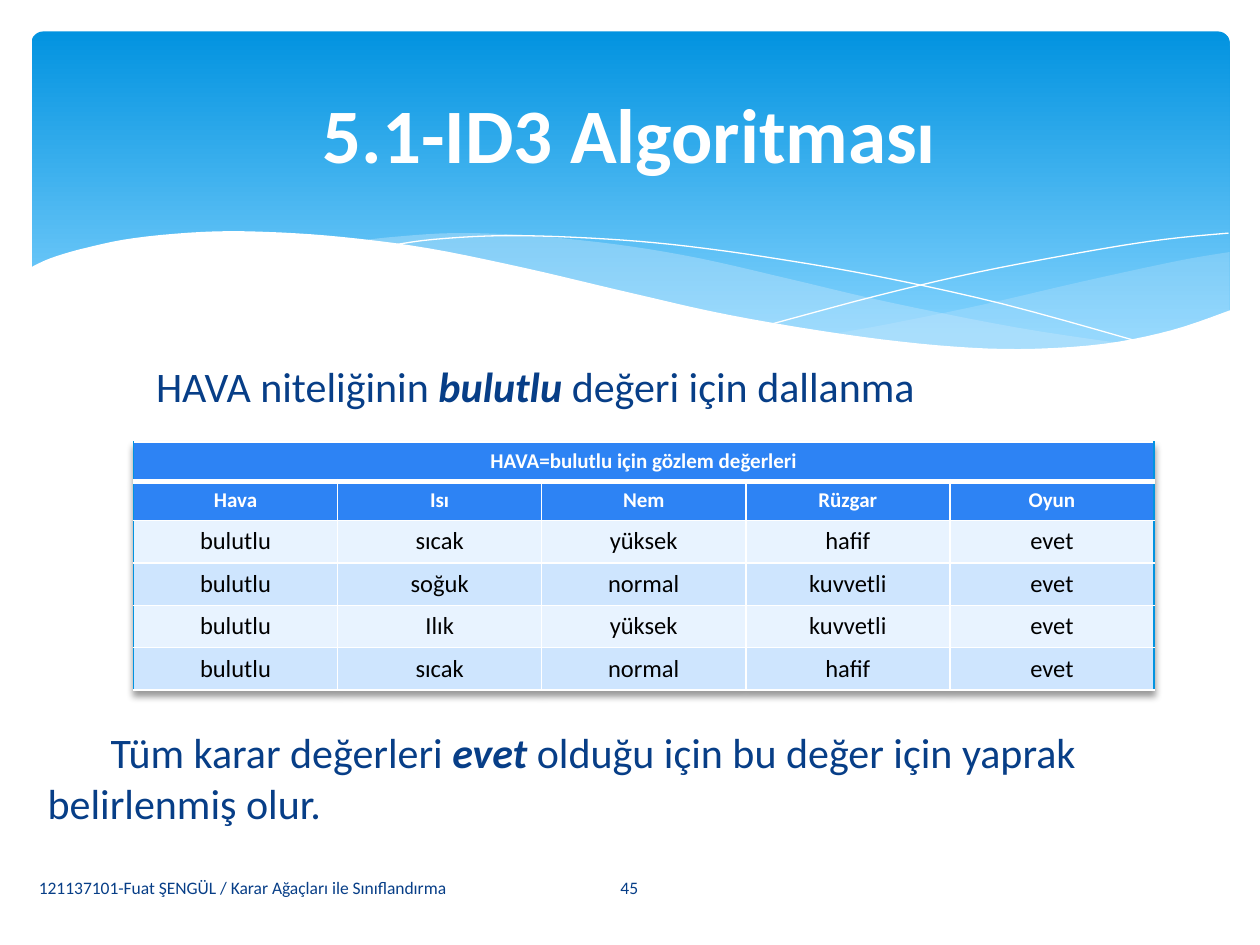
from lxml import etree
from pptx import Presentation
from pptx.dml.color import RGBColor
from pptx.enum.shapes import MSO_SHAPE
from pptx.enum.text import MSO_ANCHOR, PP_ALIGN
from pptx.oxml.ns import qn
from pptx.util import Inches, Pt

FONT = "Calibri"
NAVY, WHITE, BLACK = "073E87", "FFFFFF", "000000"
SKY, PALE_SKY, MIST = "0293E0", "83D3FE", "C6E7FC"
HEADER, BAND_LIGHT, BAND_DARK = "2D83F4", "E8F3FF", "CEE5FE"
LEFT, CENTER, JUSTIFY = PP_ALIGN.LEFT, PP_ALIGN.CENTER, PP_ALIGN.JUSTIFY
TOP, MIDDLE = MSO_ANCHOR.TOP, MSO_ANCHOR.MIDDLE

# Knots of the waves under the banner
WHITE_WAVE = [(9.77, 2.46), (9.3, 2.62), (8.75, 2.73), (8.09, 2.77), (7.44, 2.74),
              (6.68, 2.65), (5.79, 2.5), (5.03, 2.33), (4.18, 2.13), (3.4, 1.97),
              (2.71, 1.88), (2.11, 1.84), (1.61, 1.84), (1.06, 1.89), (0.67, 1.97),
              (0.4, 2.05), (0.23, 2.13)]
WHITE_BASE = [(0.23, 3.29), (9.77, 3.29)]
RIGHT_TOP = [(9.76, 2), (9.35, 2.07), (8.61, 2.23), (7.79, 2.42), (7.06, 2.57), (6.61, 2.65)]
RIGHT_BOTTOM = [(6.61, 2.65), (7.19, 2.72), (7.69, 2.77), (8.14, 2.78), (8.54, 2.76),
                (8.97, 2.7), (9.35, 2.62), (9.76, 2.47)]
MIDDLE_TOP = [(8.93, 2.73), (8.07, 2.6), (7.06, 2.4), (6.29, 2.22), (5.55, 2.05),
              (4.89, 1.94), (4.2, 1.87), (3.61, 1.85), (3.13, 1.88), (2.86, 1.91)]
MIDDLE_BOTTOM = [(2.86, 1.91), (3.62, 2.03), (4.49, 2.22), (5.3, 2.4), (6.01, 2.55),
                 (6.65, 2.66), (7.22, 2.74), (7.73, 2.77), (8.18, 2.78), (8.57, 2.77),
                 (8.93, 2.73)]
FALLING_LINE = [(3.09, 1.95), (3.44, 1.9), (4.01, 1.87), (4.69, 1.89), (5.33, 1.94),
                (6.08, 2.04), (6.95, 2.19), (7.95, 2.41), (9.07, 2.72)]
RISING_LINE = [(6.13, 2.57), (6.95, 2.35), (7.76, 2.16), (8.66, 1.99), (9.24, 1.9), (9.75, 1.85)]

TABLE_TITLE = "HAVA=bulutlu için gözlem değerleri"
COLUMNS = ["Hava", "Isı", "Nem", "Rüzgar", "Oyun"]
OBSERVATIONS = [
    ["bulutlu", "sıcak", "yüksek", "hafif", "evet"],
    ["bulutlu", "soğuk", "normal", "kuvvetli", "evet"],
    ["bulutlu", "Ilık", "yüksek", "kuvvetli", "evet"],
    ["bulutlu", "sıcak", "normal", "hafif", "evet"],
]


def color(value):
    return RGBColor.from_string(value)


def style_run(r, size, value, bold=False, italic=False):
    r.font.name, r.font.size = FONT, Pt(size)
    r.font.bold, r.font.italic = bold, italic
    r.font.color.rgb = color(value)


def smooth(knots, steps=5):
    """Points of a Catmull-Rom curve through the knots."""
    padded = [knots[0], *knots, knots[-1]]
    points = [knots[0]]
    for a, b, c, d in zip(padded, padded[1:], padded[2:], padded[3:]):
        for i in range(1, steps + 1):
            t = i / steps
            points.append(tuple(
                (2 * q + (r - p) * t + (2 * p - 5 * q + 4 * r - s) * t ** 2
                 + (3 * q - p - 3 * r + s) * t ** 3) / 2
                for p, q, r, s in zip(a, b, c, d)))
    return points


def add_outline(s, points, close):
    points = [(Inches(x), Inches(y)) for x, y in points]
    builder = s.shapes.build_freeform(*points[0], scale=1.0)
    builder.add_line_segments(points[1:], close=close)
    sp = builder.convert_to_shape()
    sp.shadow.inherit = False
    return sp


def add_wave(s, points, value, opacity=100):
    sp = add_outline(s, points, True)
    sp.fill.solid()
    sp.fill.fore_color.rgb = color(value)
    sp.line.fill.background()
    if opacity < 100:
        rgb = sp._element.spPr.find(qn("a:solidFill")).find(qn("a:srgbClr"))
        etree.SubElement(rgb, qn("a:alpha"), val=str(opacity * 1000))


def add_hairline(s, knots):
    sp = add_outline(s, smooth(knots), False)
    sp.fill.background()
    sp.line.color.rgb = color(WHITE)
    sp.line.width = Pt(0)


def add_banner(s):
    sp = s.shapes.add_shape(MSO_SHAPE.ROUNDED_RECTANGLE, Inches(0.25), Inches(0.25),
                            Inches(9.51), Inches(2.7))
    sp.adjustments[0] = 0.034
    sp.shadow.inherit = False
    sp.line.fill.background()
    sp.fill.gradient()
    sp.fill.gradient_angle = 270
    for stop, value, position in zip(sp.fill.gradient_stops, (SKY, PALE_SKY), (0, 0.9)):
        stop.color.rgb = color(value)
        stop.position = position
    add_wave(s, smooth(RIGHT_TOP) + smooth(RIGHT_BOTTOM), MIST, 29)
    add_wave(s, smooth(MIDDLE_TOP) + smooth(MIDDLE_BOTTOM), MIST, 40)
    add_hairline(s, FALLING_LINE)
    add_hairline(s, RISING_LINE)
    add_wave(s, smooth(WHITE_WAVE) + WHITE_BASE, WHITE)


def add_title(s, text):
    title = s.shapes.title
    title.left, title.top, title.width, title.height = map(Inches, (0.5, 0.37, 9, 1.37))
    tf = title.text_frame
    tf.text = text
    tf.vertical_anchor = MIDDLE
    tf.paragraphs[0].alignment = CENTER
    style_run(tf.paragraphs[0].runs[0], 44, WHITE, bold=True)
    s.shapes._spTree.append(title._element)  # in front of the banner


def add_text(s, box, paragraphs, size, align=LEFT, anchor=TOP):
    """Each paragraph is a list of texts; every second text is emphasised."""
    tf = s.shapes.add_textbox(*map(Inches, box)).text_frame
    tf.word_wrap = True
    tf.vertical_anchor = anchor
    for i, texts in enumerate(paragraphs):
        p = tf.add_paragraph() if i else tf.paragraphs[0]
        p.alignment = align
        for j, text in enumerate(texts):
            r = p.add_run()
            r.text = text
            style_run(r, size, NAVY, bold=j % 2 == 1, italic=j % 2 == 1)


def set_border(cell, side, value, width):
    ln = etree.SubElement(cell._tc.get_or_add_tcPr(), qn("a:ln" + side), w=str(Pt(width)))
    fill = etree.SubElement(ln, qn("a:solidFill"))
    etree.SubElement(fill, qn("a:srgbClr"), val=value)


def format_cell(cell, text, row, first, last):
    is_header = row < 2
    set_border(cell, "L", SKY if first else WHITE, 1)
    set_border(cell, "R", SKY if last else WHITE, 1)
    set_border(cell, "T", WHITE, 3 if row == 1 else 1)
    set_border(cell, "B", WHITE, 3 if row == 0 else 1)
    cell.fill.solid()
    cell.fill.fore_color.rgb = color(HEADER if is_header else (BAND_LIGHT, BAND_DARK)[row % 2])
    cell.vertical_anchor = MIDDLE if is_header else TOP
    cell.text = text
    p = cell.text_frame.paragraphs[0]
    p.alignment = CENTER
    for r in p.runs:
        style_run(r, 12 if is_header else 14, WHITE if is_header else BLACK, bold=is_header)


def add_observation_table(s):
    rows = [[TABLE_TITLE, "", "", "", ""], COLUMNS, *OBSERVATIONS]
    last = len(COLUMNS) - 1
    table = s.shapes.add_table(len(rows), len(COLUMNS), Inches(1.06), Inches(3.51),
                               Inches(8.1), Inches(1.82)).table
    for column in table.columns:
        column.width = Inches(1.62)
    for i, texts in enumerate(rows):
        table.rows[i].height = Inches(0.31 if i < 2 else 0.3)
        for j, text in enumerate(texts):
            format_cell(table.cell(i, j), text, i, j == 0, i == 0 or j == last)
    table.cell(0, 0).merge(table.cell(0, last))
    # Soft shadow below the table
    effects = etree.Element(qn("a:effectLst"))
    shadow = etree.SubElement(effects, qn("a:outerShdw"), blurRad=str(Pt(4)),
                              dist=str(Pt(3)), dir="5400000", rotWithShape="0")
    rgb = etree.SubElement(shadow, qn("a:srgbClr"), val=BLACK)
    etree.SubElement(rgb, qn("a:alpha"), val="40000")
    table._tbl.tblPr.insert(0, effects)


def main():
    prs = Presentation()
    prs.slide_width, prs.slide_height = Inches(10), Inches(7.5)
    s = prs.slides.add_slide(prs.slide_layouts[5])
    add_banner(s)
    # Footer and page number
    add_text(s, (0.21, 6.84, 4.14, 0.4),
             [["121137101-Fuat ŞENGÜL / Karar Ağaçları ile Sınıflandırma"]], 10, anchor=MIDDLE)
    add_text(s, (4.36, 6.84, 1.27, 0.4), [["45"]], 10, CENTER, MIDDLE)
    # Content
    add_title(s, "5.1-ID3 Algoritması")
    add_observation_table(s)
    add_text(s, (1.14, 2.81, 6.47, 0.5),
             [["HAVA niteliğinin ", "bulutlu ", "değeri için dallanma"]], 24)
    add_text(s, (0.28, 5.72, 9.32, 0.91),
             [["\tTüm karar değerleri ", "evet", " olduğu için bu değer için yaprak "],
              ["belirlenmiş olur."]], 24, JUSTIFY)
    prs.save("out.pptx")


if __name__ == "__main__":
    main()
